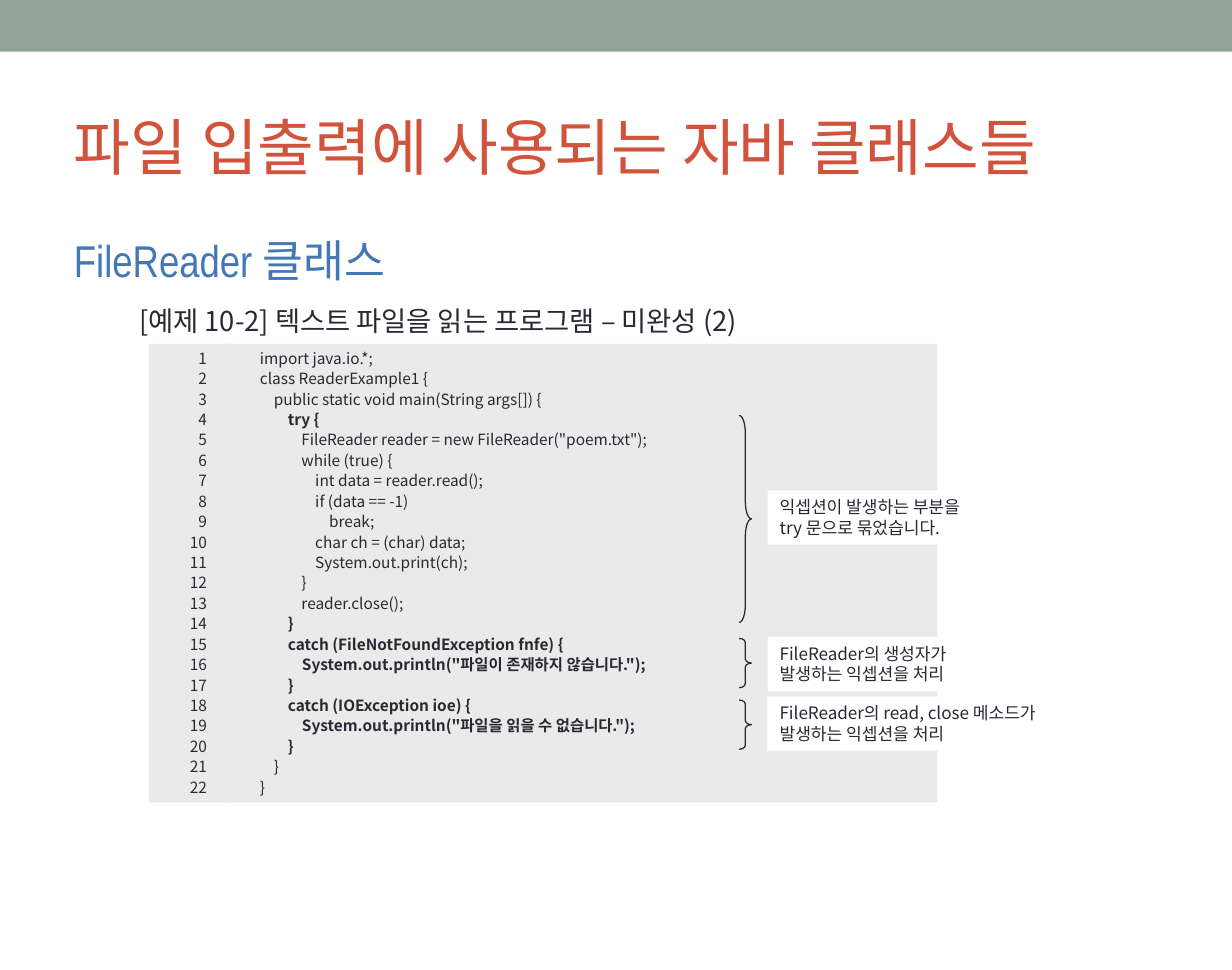
from pptx import Presentation
from pptx.dml.color import RGBColor
from pptx.enum.shapes import MSO_SHAPE as Shape
from pptx.enum.text import MSO_ANCHOR as Anchor, MSO_AUTO_SIZE as AutoSize, PP_ALIGN as Align
from pptx.oxml.ns import qn
from pptx.util import Inches, Pt

COLORS = {"band": "93A299", "title": "D2533C", "heading": "4378B5",
          "text": "292934", "code": "EAEAEA", "note": "FFFFFF"}
KOREAN = "Noto Sans CJK KR"

TITLE = "파일 입출력에 사용되는 자바 클래스들"
HEADING = "FileReader 클래스"
EXAMPLE = [("[예제 10-2] 텍스트 파일을 읽는 프로그램 ", KOREAN),
           ("– ", "Arial"), ("미완성 (2)", KOREAN)]
CODE = """import java.io.*;
class ReaderExample1 {
    public static void main(String args[]) {
        try {
            FileReader reader = new FileReader("poem.txt");
            while (true) {
                int data = reader.read();
                if (data == -1)
                    break;
                char ch = (char) data;
                System.out.print(ch);
            }
            reader.close();
        }
        catch (FileNotFoundException fnfe) {
            System.out.println("파일이 존재하지 않습니다.");
        }
        catch (IOException ioe) {
            System.out.println("파일을 읽을 수 없습니다.");
        }
    }
}""".split("\n")
BOLD_LINES = {4, *range(14, 21)}
NOTES = [
    {"lines": ["익셉션이 발생하는 부분을", "try 문으로 묶었습니다."],
     "top": 3.98, "width": 1.92, "brace": (3.37, 1.68)},
    {"lines": ["FileReader의 생성자가", "발생하는 익셉션을 처리"],
     "top": 5.17, "width": 1.78, "brace": (5.18, 0.4)},
    {"lines": ["FileReader의 read, close 메소드가", "발생하는 익셉션을 처리"],
     "top": 5.65, "width": 2.46, "brace": (5.68, 0.4)},
]
CODE_TOP, CODE_HEIGHT = 2.79, 3.72
CODE_INSETS = (0.28, 0.04, 0.2, 0.04)
NOTE_INSETS = (0.1, 0.05, 0.1, 0.05)
NOTE_LEFT, NOTE_HEIGHT = 6.23, 0.44
BRACE_LEFT, BRACE_WIDTH = 6, 0.1


def rgb(name):
    """Return the named colour."""
    return RGBColor.from_string(COLORS[name])


def apply(target, values):
    """Set each attribute in values on target."""
    for name, value in values.items():
        setattr(target, name, value)


def place(box, left, top, width, height):
    """Move and size a box in inches."""
    apply(box, {"left": Inches(left), "top": Inches(top),
                "width": Inches(width), "height": Inches(height)})


def add_span(para, text, size, color, font=KOREAN, bold=False):
    """Append formatted text to a paragraph."""
    span = para.add_run()
    span.text = text
    apply(span.font, {"size": Pt(size), "name": font, "bold": bold})
    span.font.color.rgb = rgb(color)
    east = span.font._element.makeelement(qn("a:ea"), {"typeface": KOREAN})
    span.font._element.find(qn("a:latin")).addnext(east)


def format_para(para, indent=(0, 0), before=0, after=0, align=Align.LEFT):
    """Set indents, bullet and spacing of a paragraph."""
    props = para._p.get_or_add_pPr()
    props.set("marL", str(Inches(indent[0])))
    props.set("indent", str(Inches(indent[1])))
    props.append(props.makeelement(qn("a:buNone"), {}))
    apply(para, {"space_before": Pt(before), "space_after": Pt(after), "alignment": align})


def format_frame(frame, insets, anchor=Anchor.TOP):
    """Set insets, anchor and wrapping of a text frame."""
    sides = ("margin_left", "margin_top", "margin_right", "margin_bottom")
    apply(frame, dict(zip(sides, map(Inches, insets))))
    apply(frame, {"word_wrap": True, "auto_size": AutoSize.NONE, "vertical_anchor": anchor})


def add_block(page, bounds, fill, kind=Shape.RECTANGLE):
    """Add a plain shape, filled when a colour is named."""
    box = page.shapes.add_shape(kind, *map(Inches, bounds))
    box.shadow.inherit = False
    if fill:
        box.fill.solid()
        box.fill.fore_color.rgb = rgb(fill)
        box.line.fill.background()
    else:
        box.fill.background()
        box.line.color.rgb = rgb("text")
        box.line.width = Pt(0.75)
    return box


def add_lines(box, lines, size, insets, before=0, align=Align.LEFT, bold_lines=()):
    """Write one paragraph per line into a box."""
    frame = box.text_frame
    format_frame(frame, insets)
    for number, line in enumerate(lines, 1):
        para = frame.paragraphs[0] if number == 1 else frame.add_paragraph()
        format_para(para, before=before if number > 1 else 0, align=align)
        add_span(para, line, size, "text", bold=number in bold_lines)


def main():
    """Build the slide."""
    deck = Presentation()
    apply(deck, {"slide_width": Inches(10), "slide_height": Inches(7.87)})
    page = deck.slides.add_slide(deck.slide_layouts[1])
    add_block(page, (0, 0, 10, 0.42), "band")

    title, body = page.placeholders
    place(title, 0.5, 0.61, 9, 1.14)
    format_frame(title.text_frame, NOTE_INSETS, Anchor.MIDDLE)
    para = title.text_frame.paragraphs[0]
    format_para(para)
    add_span(para, TITLE, 36, "title")

    place(body, 0.5, 1.84, 9, 5.6)
    format_frame(body.text_frame, NOTE_INSETS)
    para = body.text_frame.paragraphs[0]
    format_para(para, after=6.5)
    add_span(para, HEADING, 26, "heading", "Arial Narrow")
    para = body.text_frame.add_paragraph()
    para.level = 2
    format_para(para, (0.64, -0.11), 4, 4)
    for text, font in EXAMPLE:
        add_span(para, text, 16, "text", font)

    numbers = [str(number) for number in range(1, len(CODE) + 1)]
    columns = [(1.21, 0.67, numbers, Align.RIGHT, ()),
               (1.83, 5.78, CODE, Align.JUSTIFY, BOLD_LINES)]
    for left, width, lines, align, bold_lines in columns:
        box = add_block(page, (left, CODE_TOP, width, CODE_HEIGHT), "code")
        add_lines(box, lines, 9, CODE_INSETS, 1.1, align, bold_lines)

    for note in NOTES:
        box = add_block(page, (NOTE_LEFT, note["top"], note["width"], NOTE_HEIGHT), "note")
        add_lines(box, note["lines"], 10, NOTE_INSETS)
        top, height = note["brace"]
        brace = add_block(page, (BRACE_LEFT, top, BRACE_WIDTH, height), None, Shape.RIGHT_BRACE)
        brace.adjustments[0] = height / BRACE_WIDTH / 12

    deck.save("out.pptx")


if __name__ == "__main__":
    main()
